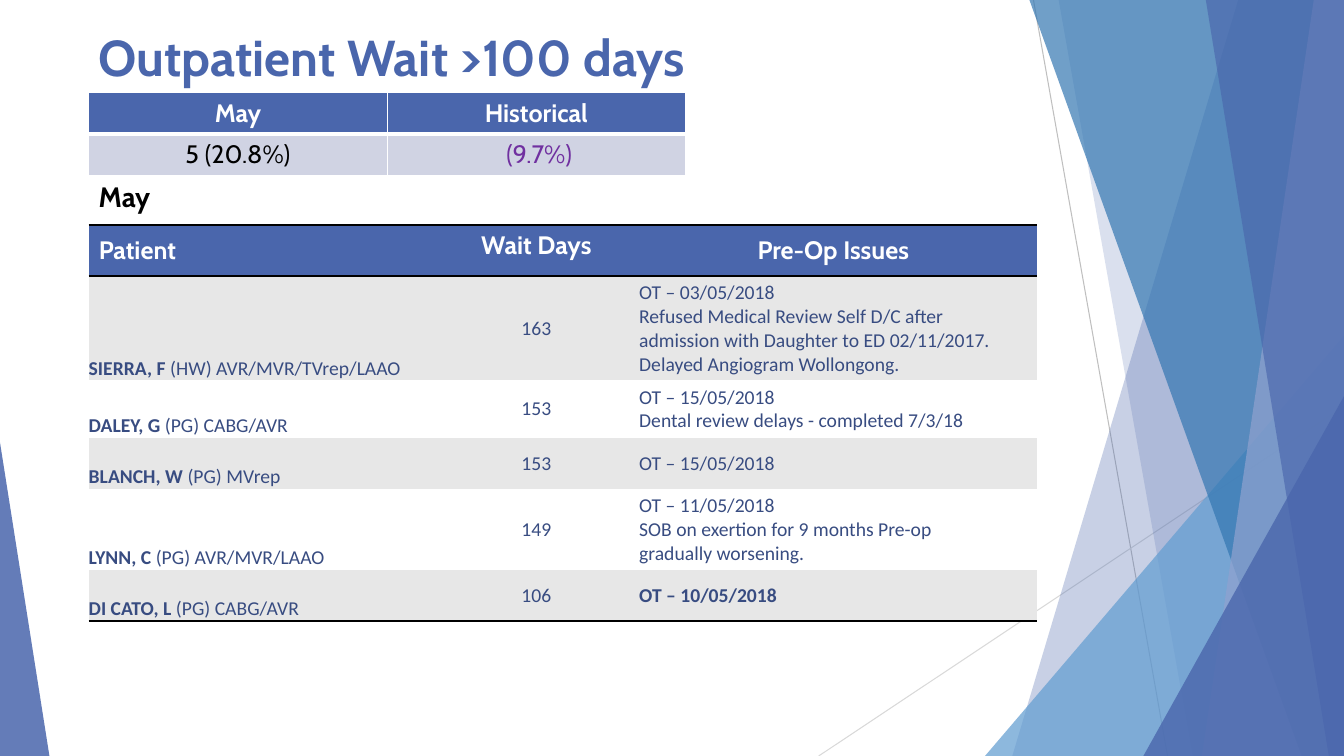
from lxml.etree import SubElement
from pptx import Presentation
from pptx.dml.color import RGBColor
from pptx.enum.shapes import MSO_CONNECTOR, MSO_SHAPE
from pptx.enum.text import MSO_ANCHOR, PP_ALIGN
from pptx.oxml import parse_xml
from pptx.oxml.ns import nsdecls, qn
from pptx.util import Inches, Pt

# Content
TITLE = "Outpatient Wait >100 days"
MONTH = "May"
SUMMARY = [("May", "Historical"), ("5 (20.8%)", " (9.7%)")]
HEADERS = ("Patient", "Wait Days", "Pre-Op Issues")
PATIENTS = [  # name, procedure, wait days, issues, row height
    ("SIERRA, F ", "(HW) AVR/MVR/TVrep/LAAO", "163",
     ["OT – 03/05/2018",
      "Refused Medical Review Self D/C after admission with Daughter to ED 02/11/2017.",
      "Delayed Angiogram Wollongong."], 1.01),
    ("DALEY, G ", "(PG) CABG/AVR", "153",
     ["OT – 15/05/2018", "Dental review delays - completed 7/3/18"], 0.51),
    ("BLANCH, W ", "(PG) MVrep", "153", ["OT – 15/05/2018"], 0.51),
    ("LYNN, C ", "(PG) AVR/MVR/LAAO", "149",
     ["OT – 11/05/2018", "SOB on exertion for 9 months Pre-op",
      "gradually worsening."], 0.72),
    ("DI CATO, L ", "(PG) CABG/AVR", "106", ["OT – 10/05/2018"], 0.51),
]

# Theme
THEME = dict(blue="4A66AC", sky="629DD1", deep="3477B2", pale="90A2CF",
             white="FFFFFF", black="000000", purple="7030A0", navy="384C81",
             band="E7E7E7", tint="D0D3E3", line1="BFBFBF", line2="D9D9D9")
TITLE_FONT = dict(name="Cabin", size=Pt(36), bold=True, color="blue")
MONTH_FONT = dict(name="Cabin", size=Pt(20), bold=True, color="black")
HEAD_FONT = dict(name="Cabin", size=Pt(18), bold=True, color="white")
VALUE_FONT = dict(name="Cabin", size=Pt(18), bold=False, color="black")
BODY_FONT = dict(name="Calibri", size=Pt(14), bold=False, color="navy")

# Layout
W, H = 13.33, 7.5
LEFT = 0.88
SUMMARY_COLS, SUMMARY_ROW = (2.96, 2.96), 0.41
WAIT_COLS, HEAD_ROW = (3.52, 1.84, 4.05), 0.51
LINES = [((10.25, 0), (11.58, H), "line1"), ((W, 4.03), (8.12, H), "line2")]
# Facets: top left x, bottom left x; triangles: left, top, width, apex
FACETS = [
    ("facet", (12.28, 10.04), "blue", 30),
    ("facet", (10.5, 11.83), "blue", 20),
    ("triangle", (9.77, 3.33, 3.56, 1), "sky", 72),
    ("facet", (10.21, 12.91), "deep", 70),
    ("facet", (13.03, 11.92), "pale", 70),
    ("facet", (11.96, 13.18), "blue", 65),
    ("triangle", (11.34, 3.93, 1.99, 1), "blue", 80),
    ("triangle", (0, 4.39, 0.49, 0), "blue", 85),
]


def rgb(key):
    return RGBColor.from_string(THEME[key])


def add_run(p, text, fmt):
    r = p.add_run()
    r.text = text
    for key, value in fmt.items():
        if key == "color":
            r.font.color.rgb = rgb(value)
        else:
            setattr(r.font, key, value)


def paint(sp, color, opacity):
    sp.shadow.inherit = False
    sp.line.fill.background()
    sp.fill.solid()
    sp.fill.fore_color.rgb = rgb(color)
    clr = sp.fill._xPr.find(qn("a:solidFill"))[0]
    SubElement(clr, qn("a:alpha"), val=str(opacity * 1000))


def set_borders(cell, borders):
    """borders maps L, R, T, B to (colour, points); missing sides have no line."""
    tcPr = cell._tc.get_or_add_tcPr()
    for i, side in enumerate("LRTB"):
        color, width = borders.get(side, (None, 0))
        fill = (f'<a:solidFill><a:srgbClr val="{THEME[color]}"/></a:solidFill>'
                if color else "<a:noFill/>")
        tcPr.insert(i, parse_xml(
            f'<a:ln{side} {nsdecls("a")} w="{Pt(width)}">{fill}</a:ln{side}>'))


def fill_cell(cell, paragraphs, fill, borders, align=PP_ALIGN.LEFT,
              anchor=MSO_ANCHOR.MIDDLE, inset=True):
    """Each paragraph is a list of (text, format) runs."""
    cell.vertical_anchor = anchor
    if not inset:
        for side in ("left", "right", "top", "bottom"):
            setattr(cell, f"margin_{side}", 0)
    tf = cell.text_frame
    for i, runs in enumerate(paragraphs):
        p = tf.add_paragraph() if i else tf.paragraphs[0]
        p.alignment = align
        for text, fmt in runs:
            add_run(p, text, fmt)
    cell.fill.solid()
    cell.fill.fore_color.rgb = rgb(fill)
    set_borders(cell, borders)


def add_grid(s, top, cols, rows):
    table = s.shapes.add_table(len(rows), len(cols), Inches(LEFT), Inches(top),
                               Inches(sum(cols)), Inches(sum(rows))).table
    for col, width in zip(table.columns, cols):
        col.width = Inches(width)
    for row, height in zip(table.rows, rows):
        row.height = Inches(height)
    return table


prs = Presentation()
prs.slide_width, prs.slide_height = Inches(W), Inches(H)
s = prs.slides.add_slide(prs.slide_layouts[5])

# Background lines and facets
for start, end, color in LINES:
    line = s.shapes.add_connector(MSO_CONNECTOR.STRAIGHT,
                                  *(Inches(v) for v in start + end))
    line.line.color.rgb = rgb(color)
    line.line.width = Pt(0.75)
    SubElement(line._element.spPr, qn("a:effectLst"))
for kind, geometry, color, opacity in FACETS:
    if kind == "facet":
        top_x, bottom_x = geometry
        points = [(top_x, 0), (W, 0), (W, H), (bottom_x, H)]
        points = [(Inches(x), Inches(y)) for x, y in points]
        path = s.shapes.build_freeform(*points[0])
        path.add_line_segments(points[1:], close=True)
        sp = path.convert_to_shape()
    else:
        x, y, width, apex = geometry
        sp = s.shapes.add_shape(MSO_SHAPE.ISOSCELES_TRIANGLE, Inches(x),
                                Inches(y), Inches(width), Inches(H - y))
        sp.adjustments[0] = apex
    paint(sp, color, opacity)

# Title and month label
title = s.shapes.title
box = (Inches(LEFT), Inches(0.2), Inches(9.26), Inches(0.72))
title.left, title.top, title.width, title.height = box
month = s.shapes.add_textbox(box[0], Inches(1.73), *box[2:])
for sp, text, fmt, anchor in [(title, TITLE, TITLE_FONT, MSO_ANCHOR.MIDDLE),
                              (month, MONTH, MONTH_FONT, MSO_ANCHOR.TOP)]:
    tf = sp.text_frame
    tf.word_wrap = True
    tf.vertical_anchor = anchor
    tf.paragraphs[0].alignment = PP_ALIGN.LEFT
    add_run(tf.paragraphs[0], text, fmt)

# Summary table
table = add_grid(s, 0.92, SUMMARY_COLS, [SUMMARY_ROW] * len(SUMMARY))
for i, row in enumerate(SUMMARY):
    for j, text in enumerate(row):
        fmt = VALUE_FONT if i else HEAD_FONT
        if i and j:
            fmt = fmt | dict(color="purple")
        borders = {side: ("white", 1) for side in "LRTB"}
        borders["T" if i else "B"] = ("white", 3)
        fill_cell(table.cell(i, j), [[(text, fmt)]], "tint" if i else "blue",
                  borders, PP_ALIGN.CENTER)

# Waiting list table
rule = ("black", 2)
table = add_grid(s, 2.23, WAIT_COLS, [HEAD_ROW] + [row[-1] for row in PATIENTS])
for j, text in enumerate(HEADERS):
    fill_cell(table.cell(0, j), [[(text, HEAD_FONT)]], "blue",
              {"T": rule, "B": rule},
              PP_ALIGN.CENTER if j else PP_ALIGN.LEFT,
              MSO_ANCHOR.TOP if j == 1 else MSO_ANCHOR.MIDDLE)
strong = BODY_FONT | dict(bold=True)
for i, (name, procedure, days, issues, _) in enumerate(PATIENTS, 1):
    last = i == len(PATIENTS)
    fill = "band" if i % 2 else "white"
    borders = {"B": rule} if last else {}
    if i == 1:
        borders["T"] = rule
    fill_cell(table.cell(i, 0), [[(name, strong), (procedure, BODY_FONT)]],
              fill, borders, anchor=MSO_ANCHOR.BOTTOM, inset=False)
    fill_cell(table.cell(i, 1), [[(days, BODY_FONT)]], fill, borders,
              PP_ALIGN.CENTER, inset=False)
    fill_cell(table.cell(i, 2),
              [[(text, strong if last else BODY_FONT)] for text in issues],
              fill, borders)

prs.save("out.pptx")
